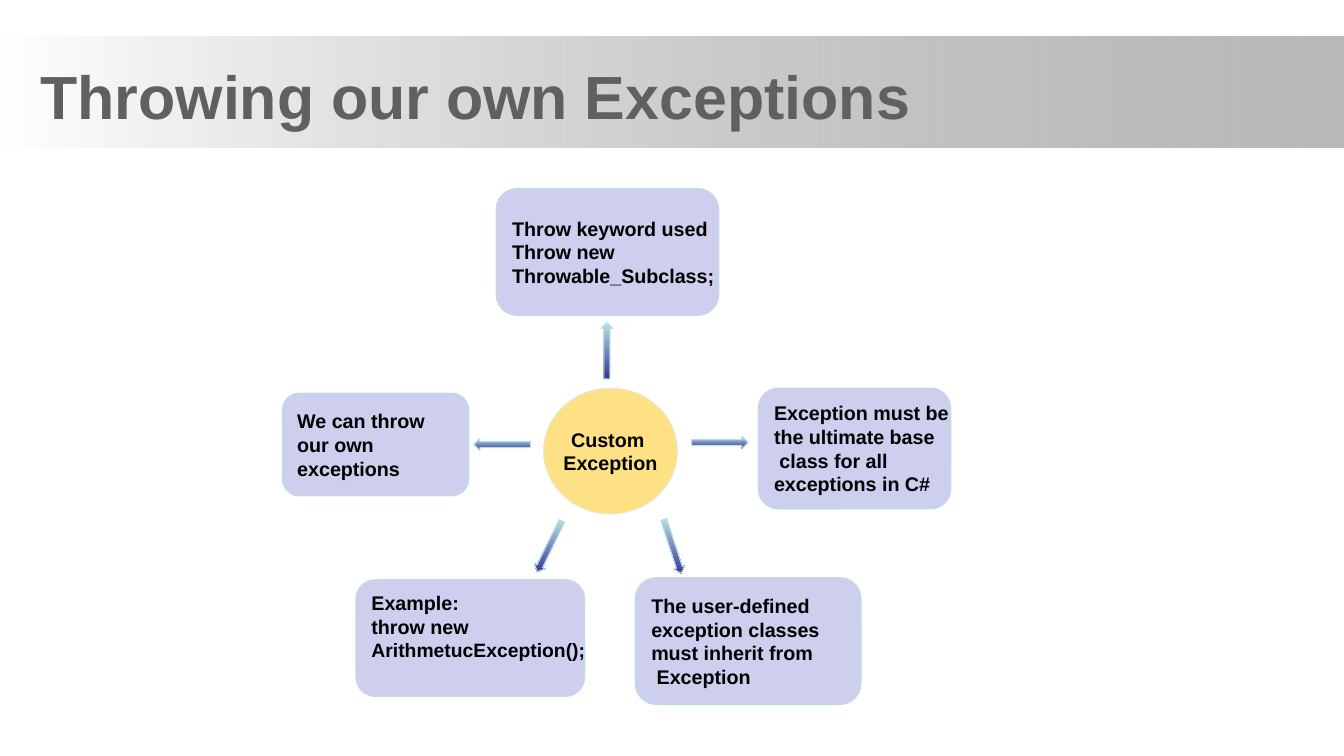
from lxml.etree import SubElement
from pptx import Presentation
from pptx.dml.color import RGBColor
from pptx.enum.shapes import MSO_SHAPE
from pptx.enum.text import MSO_ANCHOR, PP_ALIGN
from pptx.oxml.ns import qn
from pptx.util import Inches, Pt

COLORS = {
    "white": "FFFFFF", "band": "808080", "title": "606060", "text": "000000",
    "box": "CECEEF", "edge": "BBE0E3", "hub": "FFE185", "hub_edge": "DAEDEF",
    "arrow_end": "333399",
}

BOXES = [
    (2.8, 3.9, 1.85, 1.02, ["We can throw", "our own", "exceptions"]),
    (4.92, 1.87, 2.21, 1.26,
     ["Throw keyword used", "Throw new", "Throwable_Subclass;"]),
    (6.3, 5.73, 2.24, 1.26,
     ["The user-defined", "exception classes", "must inherit from", " Exception"]),
    (7.52, 3.85, 1.91, 1.2,
     ["Exception must be", "the ultimate base", " class for all", "exceptions in C#"]),
]
EXAMPLE = (3.53, 5.75, 2.27, 1.16,
           ["Example:", "throw new", "ArithmetucException();"])
HUB = (5.39, 3.85, 1.33, 1.25, ["Custom ", "Exception"])
ARROWS = [(5.96, 3.2, 180), (4.92, 4.13, 90), (7.08, 4.11, 270),
          (5.39, 5.14, 26), (6.61, 5.14, 342)]


def rgb(name):
    """Return the named colour."""
    return RGBColor.from_string(COLORS[name])


def add_shape(s, kind, x, y, w, h, edge=None, width=0.75):
    """Add a shadowless shape with an optional outline."""
    sp = s.shapes.add_shape(kind, Inches(x), Inches(y), Inches(w), Inches(h))
    sp.shadow.inherit = False
    if edge:
        sp.line.color.rgb = rgb(edge)
        sp.line.width = Pt(width)
    else:
        sp.line.fill.background()
    return sp


def fill_gradient(sp, start, end, angle):
    """Fill a shape with a two-colour gradient that ignores its rotation."""
    sp.fill.gradient()
    sp.fill.gradient_angle = angle
    for stop, name, position in zip(sp.fill.gradient_stops, (start, end), (0, 1)):
        stop.color.rgb = rgb(name)
        stop.position = position
    grad = sp._element.spPr.find(qn("a:gradFill"))
    grad.set("rotWithShape", "0")
    return grad


def add_band(s):
    """Add the fading band behind the title."""
    sp = add_shape(s, MSO_SHAPE.RECTANGLE, 0, 0.36, 13.33, 1.1)
    grad = fill_gradient(sp, "white", "band", 0)
    end_color = grad.findall(".//" + qn("a:srgbClr"))[-1]
    SubElement(end_color, qn("a:alpha")).set("val", "54000")


def set_title(s, text):
    """Place and format the title above the band."""
    title = s.shapes.title
    s.shapes._spTree.append(title._element)
    title.left, title.top = Inches(0.28), Inches(0.53)
    title.width, title.height = Inches(9), Inches(0.83)
    tf = title.text_frame
    tf.text = text
    tf.word_wrap = False
    tf.margin_left, tf.margin_right = Inches(0.12), 0
    p = tf.paragraphs[0]
    p.alignment = PP_ALIGN.LEFT
    p.font.name, p.font.size, p.font.bold = "Arial", Pt(43.5), True
    p.font.color.rgb = rgb("title")


def write_lines(sp, lines, align):
    """Write one bold paragraph per line."""
    tf = sp.text_frame
    tf.word_wrap = False
    tf.vertical_anchor = MSO_ANCHOR.MIDDLE
    tf.text = "\n".join(lines)
    for p in tf.paragraphs:
        p.alignment = align
        p.font.name, p.font.size, p.font.bold = "Arial", Pt(14.1), True
        p.font.color.rgb = rgb("text")


def add_box(s, x, y, w, h, lines):
    """Add a rounded box with left-aligned lines."""
    sp = add_shape(s, MSO_SHAPE.ROUNDED_RECTANGLE, x, y, w, h, "edge")
    sp.fill.solid()
    sp.fill.fore_color.rgb = rgb("box")
    write_lines(sp, lines, PP_ALIGN.LEFT)
    return sp


def add_example(s):
    """Add the code example, raised by a deeper bottom margin."""
    tf = add_box(s, *EXAMPLE).text_frame
    tf.margin_bottom = Inches(0.28)
    tf.paragraphs[-1].font.size = Pt(13.8)


def add_hub(s, x, y, w, h, lines):
    """Add the central ellipse."""
    sp = add_shape(s, MSO_SHAPE.OVAL, x, y, w, h, "hub_edge", 0.5)
    sp.fill.solid()
    sp.fill.fore_color.rgb = rgb("hub")
    write_lines(sp, lines, PP_ALIGN.CENTER)


def add_arrow(s, x, y, rotation):
    """Add a block arrow turned away from the hub."""
    sp = add_shape(s, MSO_SHAPE.DOWN_ARROW, x, y, 0.12, 0.56, "edge")
    sp.rotation = rotation
    fill_gradient(sp, "edge", "arrow_end", 270)


def main():
    """Build and save the slide."""
    prs = Presentation()
    prs.slide_width, prs.slide_height = Inches(13.33), Inches(7.5)
    s = prs.slides.add_slide(prs.slide_layouts[5])
    add_band(s)
    set_title(s, "Throwing our own Exceptions")
    for box in BOXES:
        add_box(s, *box)
    add_example(s)
    add_hub(s, *HUB)
    for arrow in ARROWS:
        add_arrow(s, *arrow)
    prs.save("out.pptx")


if __name__ == "__main__":
    main()
